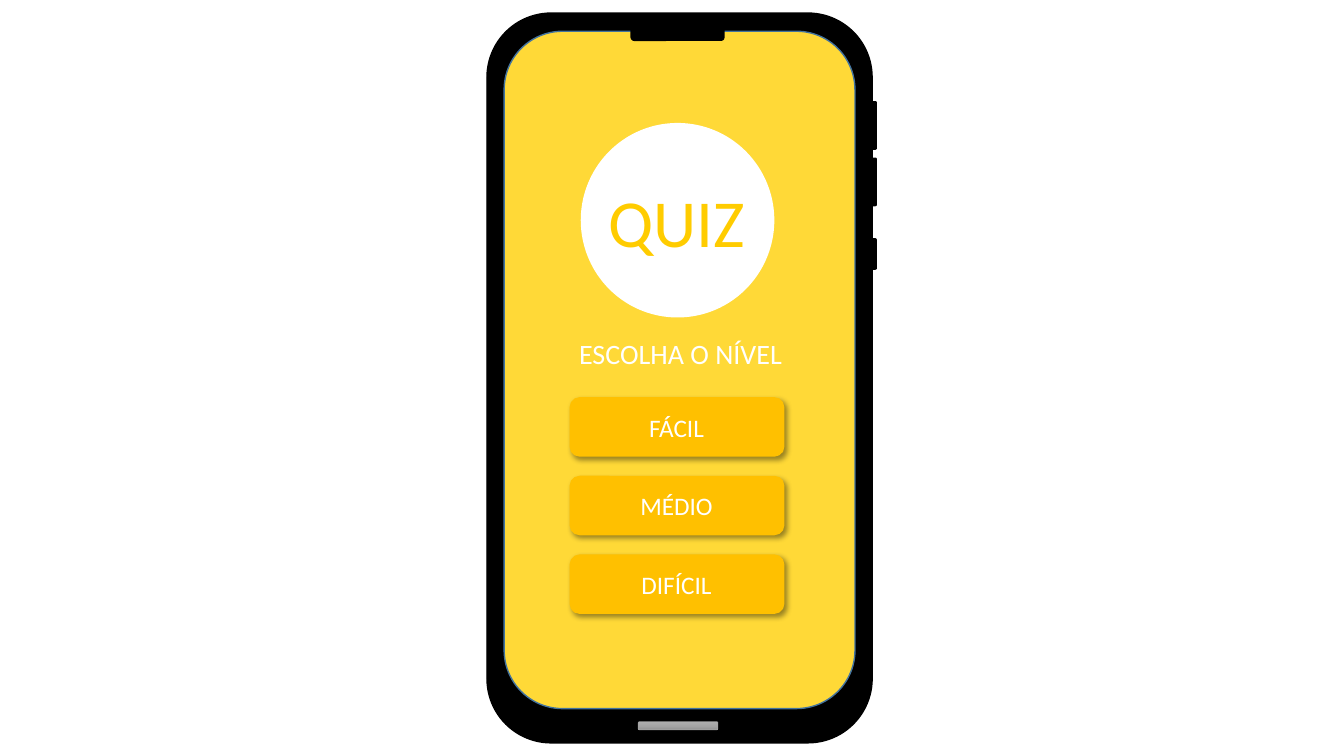
from copy import deepcopy

from lxml.etree import SubElement
from pptx import Presentation
from pptx.dml.color import RGBColor
from pptx.enum.shapes import MSO_SHAPE as Shape
from pptx.enum.text import MSO_ANCHOR as Anchor, MSO_AUTO_SIZE as AutoSize, PP_ALIGN as Align
from pptx.oxml.ns import qn
from pptx.util import Inches, Pt

BLACK = RGBColor(0x00, 0x00, 0x00)
WHITE = RGBColor(0xFF, 0xFF, 0xFF)
SCREEN_YELLOW = RGBColor(0xFF, 0xD9, 0x37)
SCREEN_EDGE = RGBColor(0x43, 0x73, 0x9E)
BUTTON_AMBER = RGBColor(0xFF, 0xC0, 0x00)
QUIZ_GOLD = RGBColor(0xFF, 0xCC, 0x00)
GREY_LIGHT = RGBColor(0xAF, 0xAF, 0xAF)
GREY = RGBColor(0xA5, 0xA5, 0xA5)
GREY_DARK = RGBColor(0x93, 0x93, 0x93)


class QuizSlide:
    font = "Calibri"

    def __init__(self, slide):
        self.slide = slide

    def panel(self, box, fill, line=None, width=1, kind=Shape.ROUNDED_RECTANGLE):
        panel = self.slide.shapes.add_shape(kind, *map(Inches, box))
        panel.shadow.inherit = False
        panel.fill.solid()
        panel.fill.fore_color.rgb = fill
        if line is None:
            panel.line.fill.background()
        else:
            panel.line.color.rgb = line
            panel.line.width = Pt(width)
        return panel

    def grey_bar(self, box):
        bar = self.panel(box, GREY, GREY, 0.5)
        bar.fill.gradient()
        bar.fill.gradient_angle = 270
        first = bar._element.spPr.find(".//" + qn("a:gs"))
        middle = deepcopy(first)
        middle.set("pos", "50000")
        first.addnext(middle)
        for stop, color in zip(bar.fill.gradient_stops, (GREY_LIGHT, GREY, GREY_DARK)):
            stop.color.rgb = color

    def button(self, box):
        button = self.panel(box, BUTTON_AMBER)
        effects = button._element.spPr.find(qn("a:effectLst"))
        shadow = SubElement(effects, qn("a:outerShdw"), blurRad=str(Pt(4)), dist=str(Pt(3)),
                            dir="2700000", algn="tl", rotWithShape="0")
        color = SubElement(shadow, qn("a:srgbClr"), val=str(BLACK))
        SubElement(color, qn("a:alpha"), val="40000")

    def format_text(self, holder, text, size, color):
        frame = holder.text_frame
        frame.text = text
        frame.word_wrap = True
        frame.auto_size = AutoSize.SHAPE_TO_FIT_TEXT
        frame.vertical_anchor = Anchor.TOP
        paragraph = frame.paragraphs[0]
        paragraph.alignment = Align.CENTER
        font = paragraph.runs[0].font
        font.name, font.size, font.color.rgb = self.font, Pt(size), color

    def label(self, box, text, size):
        self.format_text(self.slide.shapes.add_textbox(*map(Inches, box)), text, size, WHITE)

    def title(self, box, text, size, color):
        """Fill the title placeholder and bring it in front of the shapes."""
        title = self.slide.shapes.title
        title.left, title.top, title.width, title.height = map(Inches, box)
        self.format_text(title, text, size, color)
        self.slide.shapes._spTree.append(title._element)


def main():
    deck = Presentation()
    deck.slide_width, deck.slide_height = Inches(13.33), Inches(7.5)
    quiz = QuizSlide(deck.slides.add_slide(deck.slide_layouts[5]))

    quiz.panel((4.83, 0.13, 3.82, 7.24), BLACK, BLACK)
    quiz.panel((5, 0.31, 3.48, 6.72), SCREEN_YELLOW, SCREEN_EDGE)
    for top, height in ((1.01, 0.47), (1.57, 0.47), (2.37, 0.3)):
        quiz.panel((8.64, top, 0.05, height), BLACK, BLACK)
    notch = (6.26, 0.22, 0.92, 0.18)
    quiz.panel(notch, BLACK, BLACK)
    quiz.grey_bar((6.33, 7.16, 0.79, 0.08))

    quiz.panel((5.76, 1.22, 1.92, 1.93), WHITE, kind=Shape.OVAL)
    quiz.title((5.93, 1.74, 1.57, 0.91), "QUIZ", 48, QUIZ_GOLD)
    quiz.label((5.2, 3.29, 3.1, 0.44), "ESCOLHA O NÍVEL", 20)

    for row, level in enumerate(("FÁCIL", "MÉDIO", "DIFÍCIL")):
        offset = row * 0.78
        quiz.button((5.65, 3.94 + offset, 2.13, 0.59))
        quiz.label((5.98, 4.04 + offset, 1.46, 0.4), level, 18)

    deck.save("out.pptx")


if __name__ == "__main__":
    main()
